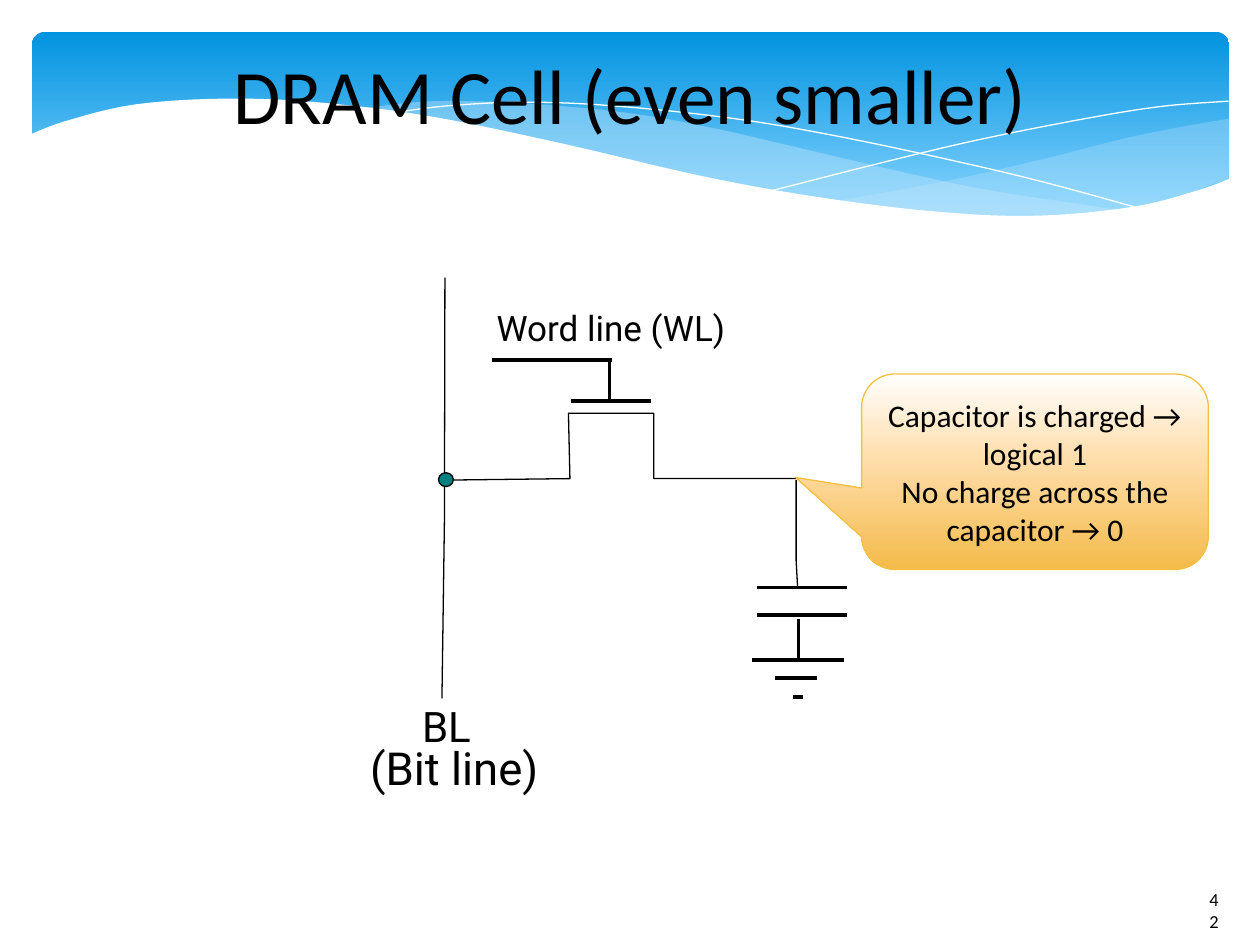
from dataclasses import dataclass

from lxml import etree
from pptx import Presentation
from pptx import util as u
from pptx.dml.color import RGBColor
from pptx.enum import shapes as sh
from pptx.enum import text as tx
from pptx.oxml.ns import qn


@dataclass(frozen=True)
class Theme:
    ink: str = "000000"
    paper: str = "FFFFFF"
    ripple: str = "C6E7FC"
    node: str = "008080"
    callout_line: str = "F5C040"
    header_stops: tuple = ((0, "0293E0"), (90, "83D3FE"))
    callout_stops: tuple = ((0, "FFFFFF"), (44, "FFDDAA"), (100, "F4BB4A"))
    body_font: str = "Calibri"
    label_font: str = "Roboto"
    title_size: float = 44
    bit_line_size: float = 26
    bl_size: float = 24
    word_line_size: float = 20
    callout_size: float = 18
    number_size: float = 10.5


THEME = Theme()


def rgb(colour):
    return RGBColor.from_string(colour)


def paint(shape, fill=None, line=None, width=0, opacity=None):
    shape.shadow.inherit = False
    if fill:
        shape.fill.solid()
        shape.fill.fore_color.rgb = rgb(fill)
        if opacity:
            colour = shape._element.spPr.find(qn("a:solidFill"))[0]
            etree.SubElement(colour, qn("a:alpha"), val=str(opacity * 1000))
    else:
        shape.fill.background()
    if line:
        shape.line.color.rgb = rgb(line)
        shape.line.width = u.Pt(width)
    else:
        shape.line.fill.background()


def fade_down(shape, stops):
    """Fill with a top-to-bottom gradient of (percent, colour) stops."""
    shape.fill.gradient()
    shape.fill.gradient_angle = 270
    stop_list = shape._element.spPr.find(qn("a:gradFill")).find(qn("a:gsLst"))
    for old in list(stop_list):
        stop_list.remove(old)
    for percent, colour in stops:
        stop = etree.SubElement(stop_list, qn("a:gs"), pos=str(percent * 1000))
        etree.SubElement(stop, qn("a:srgbClr"), val=colour)


def write(frame, words, font, size, align=None):
    frame.text = words
    for paragraph in frame.paragraphs:
        paragraph.alignment = align
        for run in paragraph.runs:
            run.font.name = font
            run.font.size = u.Pt(size)
            run.font.color.rgb = rgb(THEME.ink)


def smooth(knots, steps=6):
    """Points of a Catmull-Rom curve through the knots."""
    padded = [knots[0], *knots, knots[-1]]
    curve = [knots[0]]
    for a, b, c, d in zip(padded, padded[1:], padded[2:], padded[3:]):
        for step in range(1, steps + 1):
            t = step / steps
            curve.append(tuple(
                (2 * q + (r - p) * t + (2 * p - 5 * q + 4 * r - s) * t ** 2
                 + (3 * q - p - 3 * r + s) * t ** 3) / 2
                for p, q, r, s in zip(a, b, c, d)))
    return curve


def outline(slide, left, top, points, close=False):
    places = [(u.Cm(left + x), u.Cm(top + y)) for x, y in points]
    builder = slide.shapes.build_freeform(*places[0])
    builder.add_line_segments(places[1:], close=close)
    return builder.convert_to_shape()


def add_header(slide, left, top, width, height):
    banner = slide.shapes.add_shape(sh.MSO_SHAPE.ROUNDED_RECTANGLE,
                                    u.Cm(left), u.Cm(top), u.Cm(width), u.Cm(height))
    banner.adjustments[0] = 0.07
    paint(banner)
    fade_down(banner, THEME.header_stops)

    right_crest = [(24.16, 1.75), (23.11, 1.93), (22, 2.16), (20.5, 2.54), (18.49, 3), (16.15, 3.43)]
    right_trough = [(16.15, 3.43), (17.27, 3.56), (18.59, 3.68), (20.04, 3.73), (21.5, 3.66),
                    (22.76, 3.43), (24.16, 2.95)]
    left_crest = [(6.63, 1.55), (8.1, 1.4), (10.03, 1.45), (12.12, 1.65), (13.82, 1.96),
                  (15.34, 2.31), (17.3, 2.77), (19.05, 3.15), (20.62, 3.4), (22.05, 3.61)]
    left_trough = [(22.05, 3.61), (21.13, 3.71), (19.86, 3.76), (18.36, 3.68), (16.64, 3.51),
                   (14.63, 3.18), (12.83, 2.79), (10.77, 2.31), (9.09, 1.93), (7.57, 1.65), (6.63, 1.55)]
    for crest, trough, opacity in ((right_crest, right_trough, 29), (left_crest, left_trough, 40)):
        ripple = outline(slide, left, top, smooth(crest) + smooth(trough), close=True)
        paint(ripple, THEME.ripple, opacity=opacity)

    falling = [(7.21, 1.65), (8.33, 1.5), (9.93, 1.42), (11.79, 1.5), (14.15, 1.75),
               (16.26, 2.11), (18.67, 2.62), (20.47, 3.05), (22.4, 3.58)]
    rising = [(14.94, 3.2), (17.02, 2.67), (19.08, 2.18), (21.36, 1.73), (22.83, 1.5), (24.13, 1.4)]
    for strand in (falling, rising):
        paint(outline(slide, left, top, smooth(strand)), line=THEME.paper)

    shore = [(-0.05, 2.08), (0.69, 1.8), (2.06, 1.47), (3.86, 1.35), (5.72, 1.42), (8, 1.7),
             (10.72, 2.26), (13.46, 2.9), (15.82, 3.33), (18.26, 3.63), (20.27, 3.71),
             (22.2, 3.53), (23.5, 3.2), (24.18, 2.95)]
    wave = outline(slide, left, top, smooth(shore) + [(24.18, 5.05), (-0.05, 5.05)], close=True)
    paint(wave, THEME.paper)


def add_title(slide, left, top, width, height):
    title = slide.shapes.title
    title.left, title.top, title.width, title.height = map(u.Cm, (left, top, width, height))
    write(title.text_frame, "DRAM Cell (even smaller)", THEME.body_font, THEME.title_size,
          tx.PP_ALIGN.CENTER)
    title.text_frame.vertical_anchor = tx.MSO_ANCHOR.TOP
    slide.shapes._spTree.append(title._element)  # bring in front of the header


def add_page_number(slide, left, top, side):
    number = slide.shapes.add_shape(sh.MSO_SHAPE.RECTANGLE,
                                    u.Cm(left), u.Cm(top), u.Cm(side), u.Cm(side))
    paint(number, THEME.paper)
    write(number.text_frame, "42", THEME.body_font, THEME.number_size, tx.PP_ALIGN.LEFT)
    number.text_frame.vertical_anchor = tx.MSO_ANCHOR.TOP
    number.text_frame.word_wrap = True


def add_wire(slide, x1, y1, x2, y2):
    wire = slide.shapes.add_connector(sh.MSO_CONNECTOR.STRAIGHT, *map(u.Cm, (x1, y1, x2, y2)))
    wire.line.color.rgb = rgb(THEME.ink)
    wire.line.width = u.Pt(0)
    etree.SubElement(wire._element.spPr, qn("a:effectLst"))


def add_circuit(slide, left, top):
    channel = [(8.62, 4.05), (5.72, 4.05), (5.72, 2.73), (4, 2.73), (4.03, 4.05), (1.48, 4.08)]
    bit_line = [(1.51, 0), (1.5, 4.9), (1.45, 8.48)]
    capacitor_lead = [(8.59, 4.08), (8.59, 5.7), (8.62, 6.24)]
    for path in (channel, bit_line, capacitor_lead):
        paint(outline(slide, left, top, path), line=THEME.ink)

    level_wires = [(4.05, 5.67, 2.48), (2.45, 4.88, 1.66),                      # gate, word line
                   (7.81, 9.61, 6.24), (7.81, 9.61, 6.8),                       # capacitor plates
                   (7.7, 9.56, 7.71), (8.16, 9, 8.07), (8.52, 8.72, 8.45)]      # ground
    for start, end, y in level_wires:
        add_wire(slide, left + start, top + y, left + end, top + y)
    for x, start, end in ((4.83, 1.66, 2.45), (8.64, 6.87, 7.66)):
        add_wire(slide, left + x, top + start, left + x, top + end)

    junction = slide.shapes.add_shape(sh.MSO_SHAPE.OVAL, u.Cm(left + 1.38), u.Cm(top + 3.93),
                                      u.Cm(0.3), u.Cm(0.28))
    paint(junction, THEME.node, THEME.ink)

    labels = [("Word line (WL)", 2.55, 0.57, 5, 0.94, THEME.word_line_size),
              ("BL", 1.05, 8.52, 1.4, 1.12, THEME.bl_size),
              ("(Bit line)", 0, 9.31, 3.76, 1.22, THEME.bit_line_size)]
    for words, x, y, width, height, size in labels:
        label = slide.shapes.add_textbox(u.Cm(left + x), u.Cm(top + y), u.Cm(width), u.Cm(height))
        frame = label.text_frame
        frame.margin_left = frame.margin_right = frame.margin_top = frame.margin_bottom = 0
        frame.word_wrap = False
        write(frame, words, THEME.label_font, size, tx.PP_ALIGN.LEFT)


def add_callout(slide, left, top, width, height):
    callout = slide.shapes.add_shape(sh.MSO_SHAPE.ROUNDED_RECTANGULAR_CALLOUT,
                                     u.Cm(left), u.Cm(top), u.Cm(width), u.Cm(height))
    for index, value in enumerate((-0.69, 0.03, 0.17)):
        callout.adjustments[index] = value
    paint(callout, line=THEME.callout_line, width=0.75)
    fade_down(callout, THEME.callout_stops)
    write(callout.text_frame,
          "Capacitor is charged → logical 1\nNo charge across the capacitor → 0",
          THEME.body_font, THEME.callout_size, tx.PP_ALIGN.CENTER)
    callout.text_frame.word_wrap = True
    callout.text_frame.vertical_anchor = tx.MSO_ANCHOR.MIDDLE


def main():
    deck = Presentation()
    deck.slide_width, deck.slide_height = u.Cm(25.4), u.Cm(19.05)
    slide = deck.slides.add_slide(deck.slide_layouts[5])
    add_header(slide, 0.64, 0.64, 24.14, 3.96)
    add_page_number(slide, 24.13, 17.78, 0.71)
    add_title(slide, 0.64, 0.84, 24.13, 2.13)
    add_circuit(slide, 7.46, 5.6)
    add_callout(slide, 17.37, 7.54, 6.99, 3.94)
    deck.save("out.pptx")


if __name__ == "__main__":
    main()
